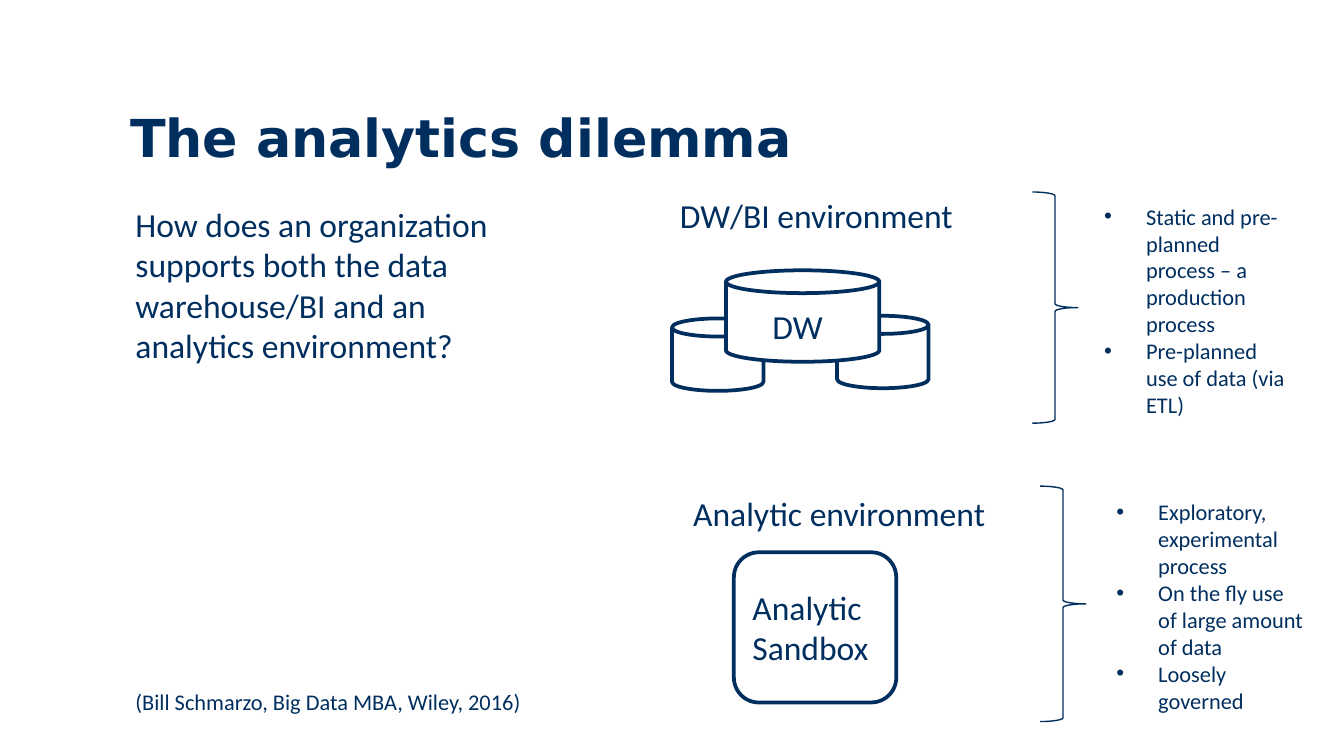
from lxml import etree
from pptx import Presentation
from pptx.dml.color import RGBColor
from pptx.enum.shapes import MSO_SHAPE
from pptx.enum.text import MSO_ANCHOR
from pptx.oxml.ns import qn
from pptx.util import Cm, Pt

NAVY = "002F5F"
BRACE_NAVY = "002E5D"
WHITE = "FFFFFF"

prs = Presentation()
prs.slide_width, prs.slide_height = Cm(25.4), Cm(14.29)
slide = prs.slides.add_slide(prs.slide_layouts[6])


def paint(color_format, hex_color):
    color_format.rgb = RGBColor.from_string(hex_color)


def add_text(text, left, top, width, height, size=18, font="Calibri", bold=False,
             bullet=False, wrap=True, anchor=MSO_ANCHOR.TOP):
    box = slide.shapes.add_textbox(Cm(left), Cm(top), Cm(width), Cm(height))
    frame = box.text_frame
    frame.word_wrap = wrap
    frame.vertical_anchor = anchor
    frame.text = text
    for paragraph in frame.paragraphs:
        if bullet:
            properties = paragraph._p.get_or_add_pPr()
            properties.set("marL", str(Cm(0.79)))
            properties.set("indent", str(-Cm(0.79)))
            etree.SubElement(properties, qn("a:buFont")).set("typeface", "Arial")
            etree.SubElement(properties, qn("a:buChar")).set("char", "•")
        paragraph.font.name = font
        paragraph.font.size = Pt(size)
        paragraph.font.bold = bold
        paint(paragraph.font.color, NAVY)


# Data stores, sandbox and braces, from back to front
can, sandbox, brace = MSO_SHAPE.CAN, MSO_SHAPE.ROUNDED_RECTANGLE, MSO_SHAPE.RIGHT_BRACE
for preset, left, top, width, height in [
    (can, 12.7, 6.02, 1.73, 1.37),
    (can, 15.82, 5.97, 1.73, 1.37),
    (can, 13.72, 5.11, 2.9, 1.73),
    (sandbox, 13.87, 10.44, 3.07, 2.84),
    (brace, 19.51, 3.63, 0.86, 4.37),
    (brace, 19.66, 9.19, 0.86, 4.45),
]:
    part = slide.shapes.add_shape(preset, Cm(left), Cm(top), Cm(width), Cm(height))
    part.shadow.inherit = False
    if preset == brace:
        part.fill.background()
        paint(part.line.color, BRACE_NAVY)
        part.line.width = Pt(0.75)
    else:
        part.fill.solid()
        paint(part.fill.fore_color, WHITE)
        paint(part.line.color, NAVY)
        part.line.width = Pt(2)

# Title, question and citation
add_text("The analytics dilemma", 2.21, 1.75, 19.02, 1.65, size=28,
         font="DejaVu Sans", bold=True, anchor=MSO_ANCHOR.MIDDLE)
add_text("How does an organization supports both the data warehouse/BI "
         "and an analytics environment?", 2.31, 3.73, 7.82, 3.33)
add_text("(Bill Schmarzo, Big Data MBA, Wiley, 2016)", 2.31, 12.88, 7.87, 0.76,
         size=12, wrap=False)

# Data warehouse environment
add_text("DW/BI environment", 12.6, 3.56, 7.9, 1.02)
add_text("DW", 14.35, 5.66, 1.47, 1.02, wrap=False)
add_text("Static and pre-planned process – a production process\n"
         "Pre-planned use of data (via ETL)",
         20.62, 3.71, 4.04, 5.13, size=12, bullet=True)

# Analytic environment
add_text("Analytic environment", 12.85, 9.19, 7.9, 1.02)
add_text("Analytic Sandbox", 13.97, 10.97, 2.97, 1.8)
add_text("Exploratory, experimental process\n"
         "On the fly use of large amount of data\n"
         "Loosely governed",
         20.85, 9.3, 4.04, 5.13, size=12, bullet=True)

prs.save("out.pptx")
